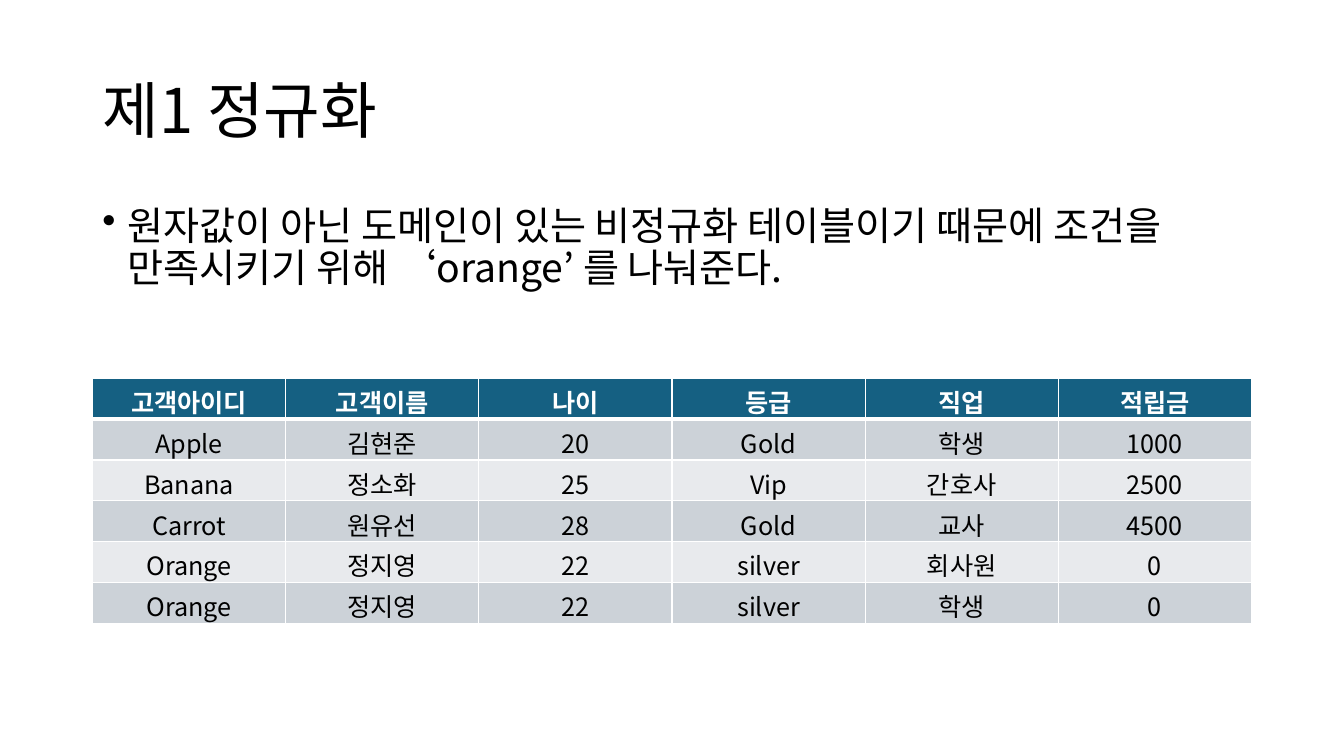
"""Build the first normal form slide with its customer table."""
from dataclasses import dataclass

from lxml import etree
from pptx import Presentation
from pptx import util as u
from pptx.dml.color import RGBColor
from pptx.enum import text
from pptx.oxml import ns

COLORS = {
    "white": "FFFFFF",
    "black": "000000",
    "header": "156082",
    "odd": "CCD2D8",
    "even": "E8EAED",
}
FONT = "Noto Sans CJK KR"
LEFT, WIDTH = u.Cm(2.33), u.Cm(29.21)
ROW_HEIGHT = u.Cm(1.03)
THIN, THICK = 1, 3
ROWS = [
    ("고객아이디", "고객이름", "나이", "등급", "직업", "적립금"),
    ("Apple", "김현준", "20", "Gold", "학생", "1000"),
    ("Banana", "정소화", "25", "Vip", "간호사", "2500"),
    ("Carrot", "원유선", "28", "Gold", "교사", "4500"),
    ("Orange", "정지영", "22", "silver", "회사원", "0"),
    ("Orange", "정지영", "22", "silver", "학생", "0"),
]


@dataclass(frozen=True)
class TextBlock:
    content: str
    top: float
    height: float
    size: int
    anchor: text.MSO_ANCHOR
    space_before: int = 0
    bullet: str = ""


BLOCKS = [
    TextBlock("제1 정규화", 1.01, 3.68, 44, text.MSO_ANCHOR.MIDDLE),
    TextBlock(
        "원자값이 아닌 도메인이 있는 비정규화 테이블이기 때문에 "
        "조건을 만족시키기 위해 ‘orange’ 를 나눠준다.",
        5.07, 12.09, 28, text.MSO_ANCHOR.TOP, 10, "•",
    ),
]


def set_font(paragraph, size: int, color: str, bold: bool = False) -> None:
    font = paragraph.font
    font.name, font.size, font.bold = FONT, u.Pt(size), bold
    font.color.rgb = RGBColor.from_string(COLORS[color])
    defaults = paragraph._p.pPr.find(ns.qn("a:defRPr"))
    etree.SubElement(defaults, ns.qn("a:ea"), typeface=FONT)


def set_bullet(paragraph, symbol: str) -> None:
    properties = paragraph._p.pPr
    indent = u.Cm(0.64)
    properties.set("marL", str(indent))
    properties.set("indent", str(-indent))
    bullet = etree.Element(ns.qn("a:buChar"), char=symbol)
    properties.find(ns.qn("a:defRPr")).addprevious(bullet)


def add_text_block(slide, block: TextBlock) -> None:
    shape = slide.shapes.add_textbox(LEFT, u.Cm(block.top), WIDTH, u.Cm(block.height))
    frame = shape.text_frame
    frame.word_wrap = True
    frame.vertical_anchor = block.anchor
    paragraph = frame.paragraphs[0]
    paragraph.text = block.content
    paragraph.line_spacing = 0.9
    paragraph.space_before = u.Pt(block.space_before)
    set_font(paragraph, block.size, "black")
    if block.bullet:
        set_bullet(paragraph, block.bullet)


def set_borders(cell, top: int, bottom: int) -> None:
    properties = cell._tc.get_or_add_tcPr()
    widths = {"lnL": THIN, "lnR": THIN, "lnT": top, "lnB": bottom}
    for side, width in widths.items():
        line = etree.SubElement(properties, ns.qn(f"a:{side}"), w=str(u.Pt(width)))
        fill = etree.SubElement(line, ns.qn("a:solidFill"))
        etree.SubElement(fill, ns.qn("a:srgbClr"), val=COLORS["white"])


def fill_cell(cell, content: str, row: int) -> None:
    is_header = row == 0
    set_borders(cell, THICK if row == 1 else THIN, THICK if is_header else THIN)
    background = "header" if is_header else ("odd" if row % 2 else "even")
    cell.fill.solid()
    cell.fill.fore_color.rgb = RGBColor.from_string(COLORS[background])
    cell.vertical_anchor = text.MSO_ANCHOR.MIDDLE
    paragraph = cell.text_frame.paragraphs[0]
    paragraph.text = content
    paragraph.alignment = text.PP_ALIGN.CENTER
    set_font(paragraph, 18, "white" if is_header else "black", is_header)


def add_customer_table(slide) -> None:
    table = slide.shapes.add_table(
        len(ROWS), len(ROWS[0]), LEFT, u.Cm(9.53), WIDTH, ROW_HEIGHT * len(ROWS)
    ).table
    for row, values in enumerate(ROWS):
        for column, content in enumerate(values):
            fill_cell(table.cell(row, column), content, row)


def main() -> None:
    presentation = Presentation()
    presentation.slide_width, presentation.slide_height = u.Cm(33.87), u.Cm(19.05)
    slide = presentation.slides.add_slide(presentation.slide_layouts[6])
    for block in BLOCKS:
        add_text_block(slide, block)
    add_customer_table(slide)
    presentation.save("out.pptx")


if __name__ == "__main__":
    main()
